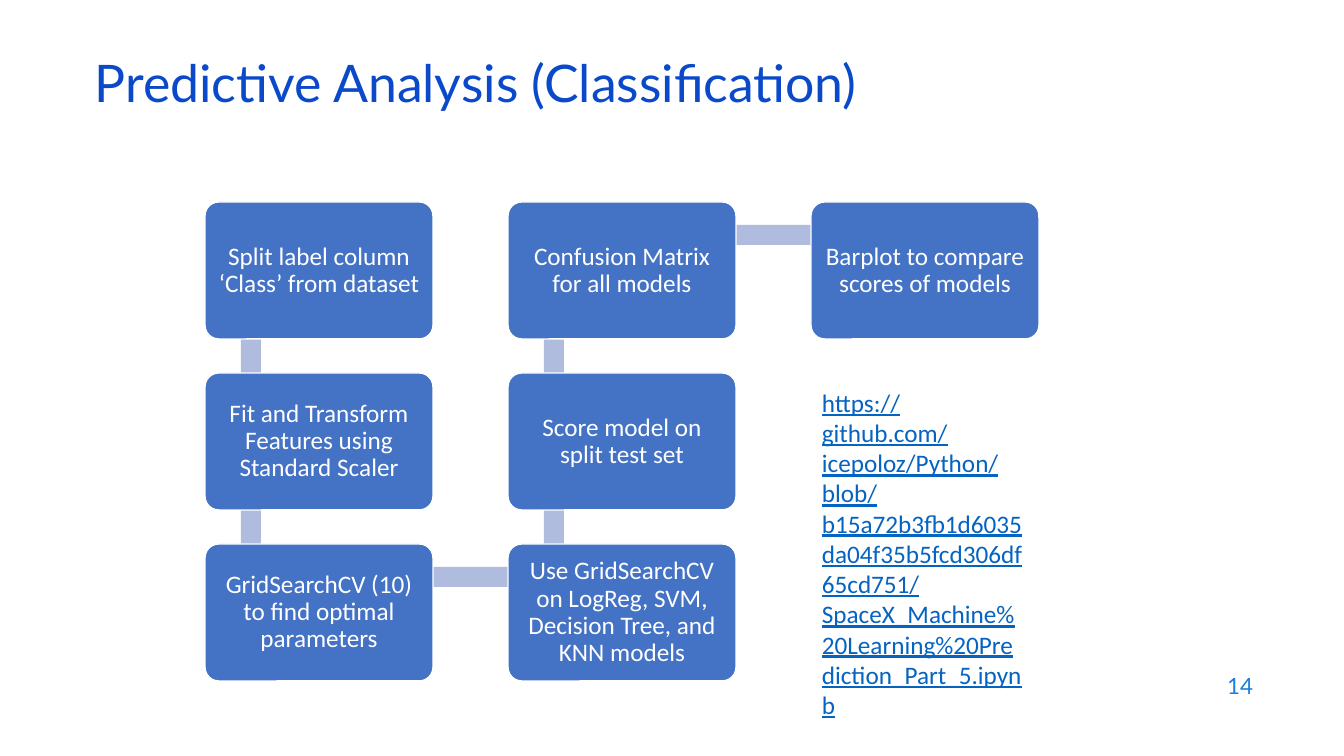
from dataclasses import dataclass

from pptx import Presentation
from pptx import util as u
from pptx.dml.color import RGBColor
from pptx.enum import shapes, text

PX = u.Inches(1) / 100.8
COLORS = {
    "title": "0B49CB",
    "number": "1C7DDB",
    "link": "0563C1",
    "box": "4472C4",
    "bar": "B0BCDE",
    "white": "FFFFFF",
}
LEFT, TOP = 205, 202
BOX_W, BOX_H = 228, 137
STEP_X, STEP_Y = 303, 171
BAR = 20
MIDDLE = text.MSO_ANCHOR.MIDDLE


@dataclass
class Step:
    label: str
    col: int
    row: int

    @property
    def x(self) -> int:
        return LEFT + self.col * STEP_X

    @property
    def y(self) -> int:
        return TOP + self.row * STEP_Y


@dataclass
class Label:
    words: str
    box: tuple[int, int, int, int]
    font: dict
    color: str
    frame: dict
    paragraph: dict


STEPS = [
    Step("Split label column ‘Class’ from dataset", 0, 0),
    Step("Fit and Transform Features using Standard Scaler", 0, 1),
    Step("GridSearchCV (10) to find optimal parameters", 0, 2),
    Step("Use GridSearchCV on LogReg, SVM, Decision Tree, and KNN models", 1, 2),
    Step("Score model on split test set", 1, 1),
    Step("Confusion Matrix for all models", 1, 0),
    Step("Barplot to compare scores of models", 2, 0),
]
LABELS = [
    Label("Predictive Analysis (Classification)", (85, 59, 1159, 60),
          {"name": "Lato", "size": u.Pt(37)}, "title",
          {"vertical_anchor": MIDDLE}, {"line_spacing": 0.7}),
    Label("https://github.com/icepoloz/Python/blob/"
          "b15a72b3fb1d6035da04f35b5fcd306df65cd751/"
          "SpaceX_Machine%20Learning%20Prediction_Part_5.ipynb",
          (812, 382, 222, 254),
          {"name": "Calibri", "size": u.Pt(18), "underline": True}, "link",
          {}, {}),
    Label("14", (961, 664, 302, 44),
          {"name": "Lato", "size": u.Pt(16)}, "number",
          {"vertical_anchor": MIDDLE}, {"alignment": text.PP_ALIGN.RIGHT}),
]


def px(n: int) -> int:
    return round(n * PX)


def rgb(name: str) -> RGBColor:
    return RGBColor.from_string(COLORS[name])


def apply(target, values: dict) -> None:
    for name, value in values.items():
        setattr(target, name, value)


def write(s, words: str, font: dict, color: str, frame: dict, paragraph: dict) -> None:
    tf = s.text_frame
    apply(tf, {"word_wrap": True, **frame})
    p = tf.paragraphs[0]
    apply(p, paragraph)
    r = p.add_run()
    r.text = words
    apply(r.font, font)
    r.font.color.rgb = rgb(color)


def add_filled(sp, kind, box: tuple[int, int, int, int], color: str):
    s = sp.add_shape(kind, *map(px, box))
    s.shadow.inherit = False
    s.fill.solid()
    s.fill.fore_color.rgb = rgb(color)
    s.line.fill.background()
    return s


def add_bar(sp, a: Step, b: Step) -> None:
    if a.col == b.col:
        box = (a.x + 36, min(a.y, b.y) + 33, BAR, STEP_Y)
    else:
        box = (a.x + 46, a.y + 23, STEP_X, BAR)
    add_filled(sp, shapes.MSO_SHAPE.RECTANGLE, box, "bar")


def add_step(sp, step: Step) -> None:
    s = add_filled(sp, shapes.MSO_SHAPE.ROUNDED_RECTANGLE,
                   (step.x, step.y, BOX_W, BOX_H), "box")
    s.adjustments[0] = 0.1
    s.line.color.rgb = rgb("white")
    s.line.width = u.Pt(1)
    margins = {f"margin_{side}": px(7) for side in ("left", "top", "right", "bottom")}
    write(s, step.label, {"name": "Calibri", "size": u.Pt(18)}, "white",
          {"vertical_anchor": MIDDLE, **margins},
          {"alignment": text.PP_ALIGN.CENTER, "line_spacing": 0.9})


def add_label(sp, label: Label) -> None:
    s = sp.add_textbox(*map(px, label.box))
    write(s, label.words, label.font, label.color, label.frame, label.paragraph)


def main() -> None:
    prs = Presentation()
    apply(prs, {"slide_width": px(1344), "slide_height": px(756)})
    sp = prs.slides.add_slide(prs.slide_layouts[6]).shapes
    for a, b in zip(STEPS, STEPS[1:]):
        add_bar(sp, a, b)
    for step in STEPS:
        add_step(sp, step)
    for label in LABELS:
        add_label(sp, label)
    prs.save("out.pptx")


if __name__ == "__main__":
    main()
